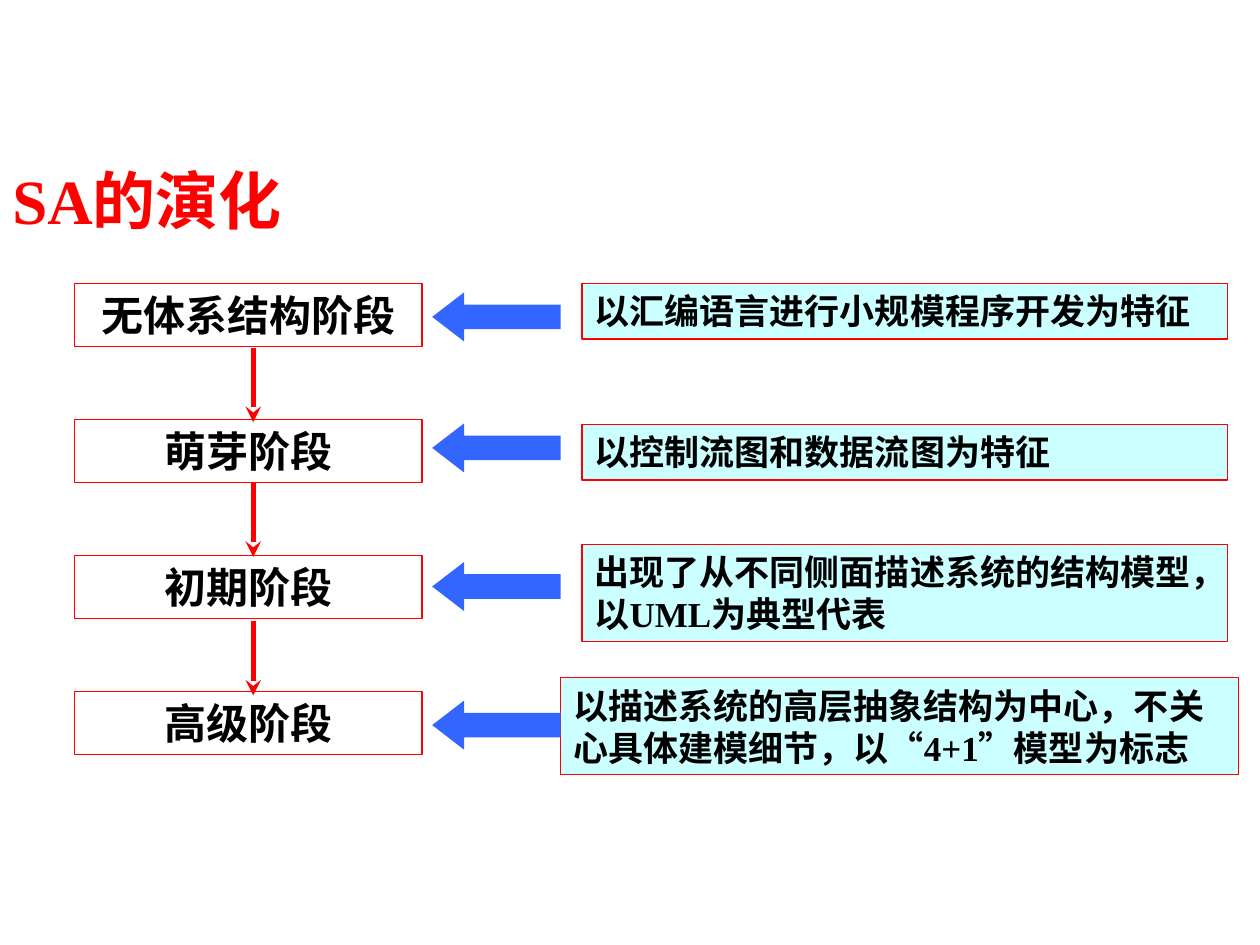
"""Build the slide on the four stages in the evolution of software architecture."""
from lxml.etree import SubElement
from pptx import Presentation
from pptx.dml.color import RGBColor
from pptx.enum.shapes import MSO_CONNECTOR as Connector, MSO_SHAPE as Shape
from pptx.enum.text import MSO_ANCHOR as Anchor, PP_ALIGN as Align
from pptx.oxml.ns import qn
from pptx.util import Inches, Pt

RED = RGBColor(0xFF, 0x00, 0x00)
BLACK = RGBColor(0x00, 0x00, 0x00)
WHITE = RGBColor(0xFF, 0xFF, 0xFF)
CYAN = RGBColor(0xCC, 0xFF, 0xFF)
BLUE = RGBColor(0x33, 0x66, 0xFF)

STAGE_LEFT, STAGE_TOP, STAGE_STEP = 0.59, 2.25, 1.08
STAGES = ["无体系结构阶段", "萌芽阶段", "初期阶段", "高级阶段"]
FEATURES = [
    (4.62, 2.25, 5.12, 0.44, "以汇编语言进行小规模程序开发为特征"),
    (4.62, 3.37, 5.12, 0.44, "以控制流图和数据流图为特征"),
    (4.62, 4.32, 5.12, 0.77, "出现了从不同侧面描述系统的结构模型，以UML为典型代表"),
    (4.45, 5.38, 5.38, 0.77, "以描述系统的高层抽象结构为中心，不关心具体建模细节，以“4+1”模型为标志"),
]
FLOW_TOPS = [2.76, 3.83, 4.93]
POINTER_TOPS = [2.32, 3.36, 4.46, 5.56]


def write(box, text, size, color, align, anchor):
    frame = box.text_frame
    frame.text = text
    frame.word_wrap = True
    frame.vertical_anchor = anchor
    para = frame.paragraphs[0]
    para.alignment = align
    font = para.runs[0].font
    font.name, font.size, font.bold = "Times New Roman", Pt(size), True
    font.color.rgb = color


def add_box(left, top, width, height, fill, text, size, align):
    box = page.shapes.add_shape(
        Shape.RECTANGLE, Inches(left), Inches(top), Inches(width), Inches(height))
    box.shadow.inherit = False
    box.fill.solid()
    box.fill.fore_color.rgb = fill
    box.line.color.rgb = RED
    box.line.width = Pt(0.75)
    write(box, text, size, BLACK, align, Anchor.TOP)


deck = Presentation()
deck.slide_width, deck.slide_height = Inches(10), Inches(7.5)
page = deck.slides.add_slide(deck.slide_layouts[6])

title = page.shapes.add_textbox(Inches(0), Inches(1.23), Inches(8.94), Inches(0.7))
write(title, "SA的演化", 36, RED, Align.LEFT, Anchor.MIDDLE)

for index, stage in enumerate(STAGES):
    add_box(STAGE_LEFT, STAGE_TOP + index * STAGE_STEP, 2.76, 0.5,
            WHITE, stage, 24, Align.CENTER)

for top in FLOW_TOPS:
    flow = page.shapes.add_connector(
        Connector.STRAIGHT, Inches(2.01), Inches(top), Inches(2.01), Inches(top + 0.59))
    flow.line.color.rgb = RED
    flow.line.width = Pt(3)
    SubElement(flow.line._get_or_add_ln(), qn("a:tailEnd"), type="stealth")
    SubElement(flow._element.spPr, qn("a:effectLst"))

for left, top, width, height, feature in FEATURES:
    add_box(left, top, width, height, CYAN, feature, 20, Align.LEFT)

for top in POINTER_TOPS:
    pointer = page.shapes.add_shape(
        Shape.LEFT_ARROW, Inches(3.43), Inches(top), Inches(1.02), Inches(0.39))
    pointer.adjustments[0] = 0.5
    pointer.adjustments[1] = 0.65
    pointer.shadow.inherit = False
    pointer.fill.solid()
    pointer.fill.fore_color.rgb = BLUE
    pointer.line.fill.background()

deck.save("out.pptx")
